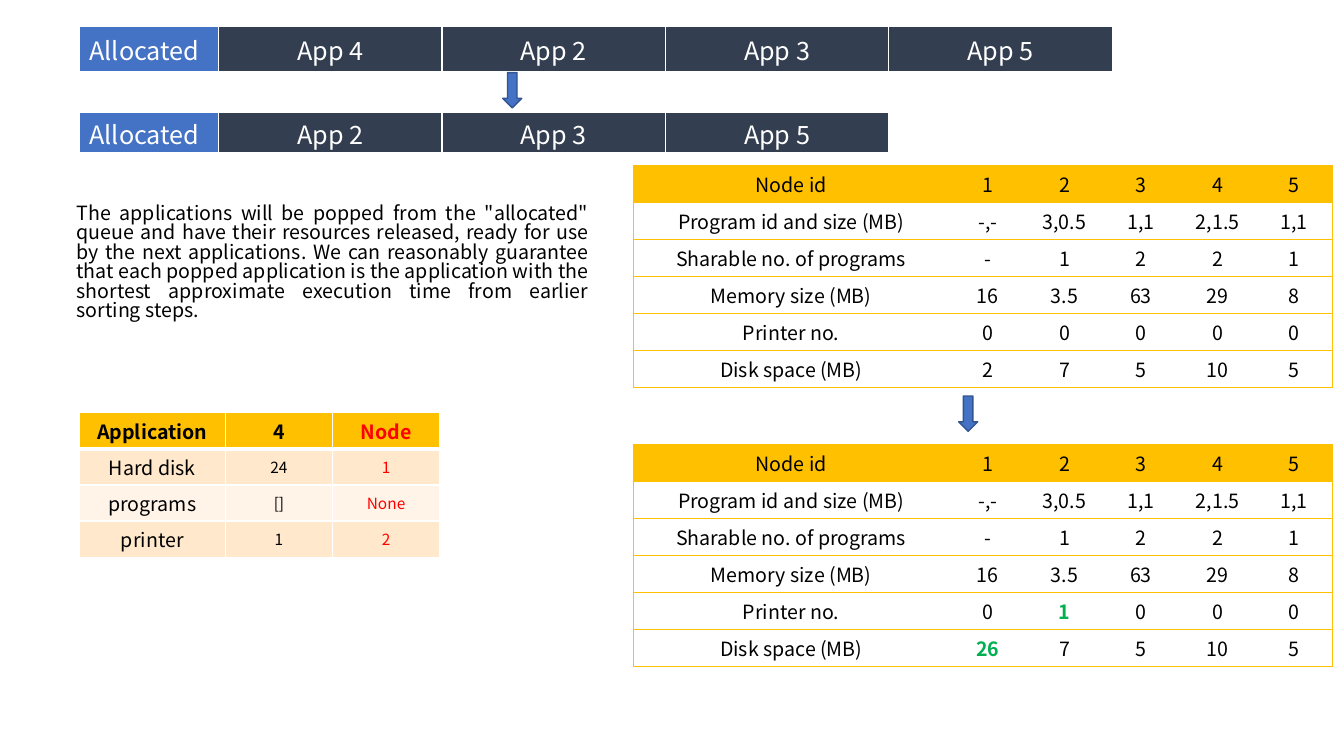
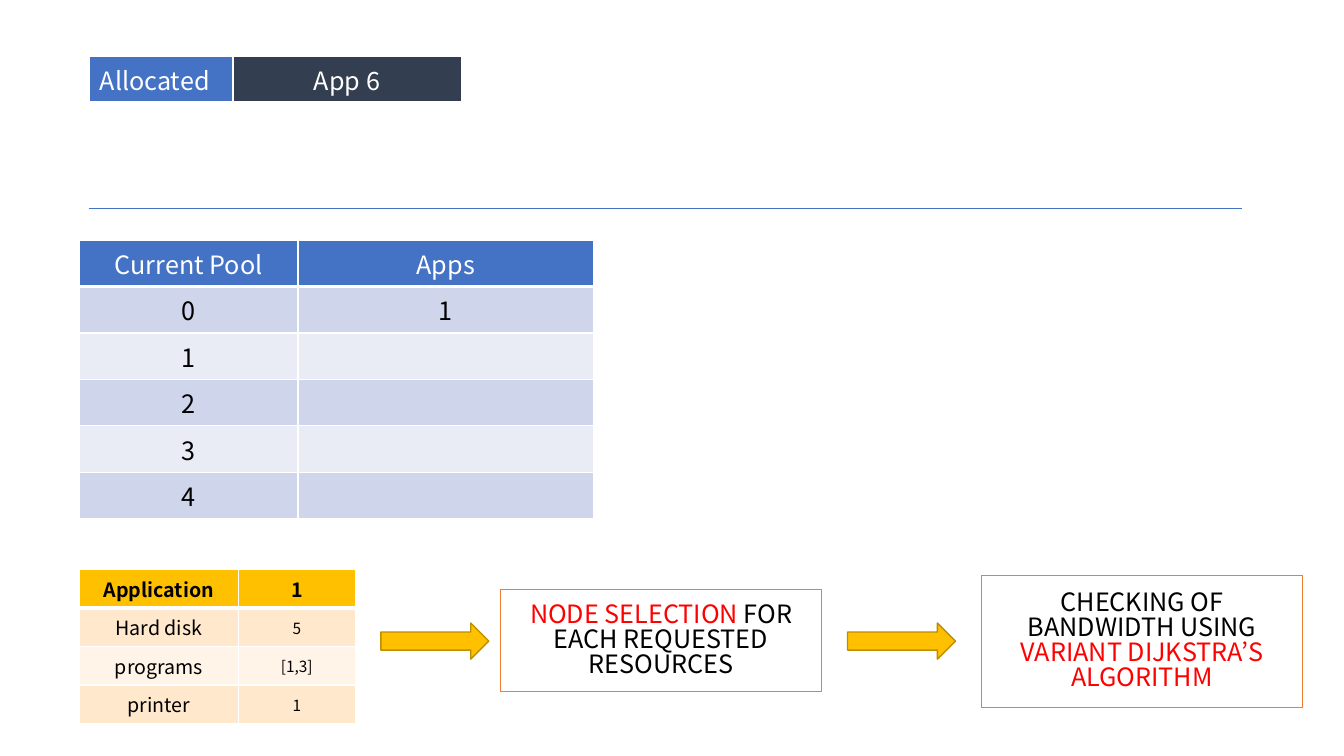
from lxml.etree import SubElement
from pptx import Presentation
from pptx.dml.color import RGBColor
from pptx.enum.shapes import MSO_CONNECTOR, MSO_SHAPE
from pptx.enum.text import MSO_ANCHOR, MSO_AUTO_SIZE, PP_ALIGN
from pptx.oxml.ns import qn
from pptx.util import Cm, Pt

# Shared look
FONT = "Noto Sans CJK JP"
BLACK, WHITE, RED, GREEN = "000000", "FFFFFF", "FF0000", "00B050"
BLUE, NAVY, AMBER, ORANGE = "4472C4", "333F50", "FFC000", "ED7D31"
BODY_SPACING = 0.83
rgb = RGBColor.from_string

# Each style gives the header row, the body bands, and the rules between cells
STYLES = {
    "queue": dict(header=NAVY, header_text=WHITE, bands=[NAVY], size=18, value_size=18,
                  rule=WHITE, rule_width=1, header_rule=3, bold=False),
    "pool": dict(header=BLUE, header_text=WHITE, bands=["CFD5EA", "E9EBF5"], size=18,
                 value_size=18, rule=WHITE, rule_width=1, header_rule=3, bold=False),
    "request": dict(header=AMBER, header_text=BLACK, bands=["FFE8CC", "FFF4E7"], size=14,
                    value_size=11, rule=WHITE, rule_width=1, header_rule=3, bold=True),
    "nodes": dict(header=AMBER, header_text=BLACK, bands=[WHITE], size=14, value_size=14,
                  rule=AMBER, rule_width=0.5, header_rule=0.5, bold=False),
}


def write(text_frame, runs, size, align=PP_ALIGN.CENTER, spacing=1.0, bold=False):
    """Fill the first paragraph with (text, colour) runs."""
    paragraph = text_frame.paragraphs[0]
    paragraph.alignment = align
    paragraph.line_spacing = spacing
    for text, color in runs:
        run = paragraph.add_run()
        run.text = text
        for name, value in dict(name=FONT, size=Pt(size), bold=bold).items():
            setattr(run.font, name, value)
        run.font.color.rgb = rgb(color)


def add_grid(slide, style_name, left, top, widths, row_height, rows, accents=None):
    """Add a table; accents maps (row, column) to a text colour."""
    style, accents = STYLES[style_name], accents or {}
    table = slide.shapes.add_table(len(rows), len(widths), Cm(left), Cm(top), Cm(sum(widths)),
                                   Cm(row_height * len(rows))).table
    table.first_row = table.horz_banding = False
    for column, width in zip(table.columns, widths):
        column.width = Cm(width)
    for row_index, row in enumerate(rows):
        table.rows[row_index].height = Cm(row_height)
        is_header = row_index == 0
        for column_index, text in enumerate(row):
            cell = table.cell(row_index, column_index)
            cell.vertical_anchor = MSO_ANCHOR.MIDDLE
            cell.margin_top = cell.margin_bottom = Cm(0.05)

            # Rules: sides only at the outer edge of the node tables
            widths_by_side = dict.fromkeys(("L", "R", "T", "B"), style["rule_width"])
            if is_header:
                widths_by_side["B"] = style["header_rule"]
            if row_index == 1:
                widths_by_side["T"] = style["header_rule"]
            if style_name == "nodes":
                widths_by_side["L"] *= column_index == 0
                widths_by_side["R"] *= column_index == len(row) - 1
            properties = cell._tc.get_or_add_tcPr()
            for side, width in widths_by_side.items():
                line = SubElement(properties, qn("a:ln" + side), w=str(int(Pt(width))))
                if width:
                    fill = SubElement(line, qn("a:solidFill"))
                    SubElement(fill, qn("a:srgbClr"), val=style["rule"])
                else:
                    SubElement(line, qn("a:noFill"))

            # Fill and text
            bands = style["bands"]
            color = style["header"] if is_header else bands[(row_index - 1) % len(bands)]
            is_label = style_name == "queue" and column_index == 0
            cell.fill.solid()
            cell.fill.fore_color.rgb = rgb(BLUE if is_label else color)
            if text:
                default = style["header_text"] if is_header else BLACK
                accent = accents.get((row_index, column_index), default)
                is_value = not is_header and column_index > 0
                write(cell.text_frame, [(text, accent)],
                      style["value_size"] if is_value else style["size"],
                      PP_ALIGN.LEFT if is_label else PP_ALIGN.CENTER,
                      bold=accent == GREEN or (is_header and style["bold"]))


presentation = Presentation()
presentation.slide_width, presentation.slide_height = Cm(33.87), Cm(19.05)
blank_layout = presentation.slide_layouts[6]
release_slide, selection_slide = [presentation.slides.add_slide(blank_layout) for _ in range(2)]

# Queues of allocated applications
for slide, left, top, label_width, app_width, height, apps in [
    (release_slide, 2, 0.66, 3.51, 5.63, 1.17, [4, 2, 3, 5]),
    (release_slide, 2, 2.84, 3.51, 5.63, 1.04, [2, 3, 5]),
    (selection_slide, 2.26, 1.42, 3.61, 5.75, 1.17, [6]),
]:
    add_grid(slide, "queue", left, top, [label_width] + [app_width] * len(apps), height,
             [["Allocated"] + [f"App {app}" for app in apps]])

# Explanation of the release step
shape = release_slide.shapes.add_textbox(Cm(1.68), Cm(5.03), Cm(13.41), Cm(3.84))
shape.text_frame.word_wrap = True
shape.text_frame.auto_size = MSO_AUTO_SIZE.SHAPE_TO_FIT_TEXT
write(shape.text_frame, [(
    'The applications will be popped from the "allocated" queue and have their resources '
    "released, ready for use by the next applications. We can reasonably guarantee that each "
    "popped application is the application with the shortest approximate execution time from "
    "earlier sorting steps.", BLACK)], 14, PP_ALIGN.JUSTIFY, BODY_SPACING)

# Node resources before and after the release
node_rows = [
    ["Node id", "1", "2", "3", "4", "5"],
    ["Program id and size (MB)", "-,-", "3,0.5", "1,1", "2,1.5", "1,1"],
    ["Sharable no. of programs", "-", "1", "2", "2", "1"],
    ["Memory size (MB)", "16", "3.5", "63", "29", "8"],
]
for top, printers, disks, accents in [
    (4.17, "0 0 0 0 0", "2 7 5 10 5", {}),
    (11.2, "0 1 0 0 0", "26 7 5 10 5", {(4, 2): GREEN, (5, 1): GREEN}),
]:
    add_grid(release_slide, "nodes", 15.95, top, [7.98] + [1.93] * 5, 0.93,
             node_rows + [["Printer no."] + printers.split(),
                          ["Disk space (MB)"] + disks.split()], accents)

# Resources held or requested by one application
add_grid(release_slide, "request", 2, 10.4, [3.68, 2.7, 2.7], 0.91,
         [["Application", "4", "Node"], ["Hard disk", "24", "1"],
          ["programs", "[]", "None"], ["printer", "1", "2"]],
         {(row, 2): RED for row in range(4)})
add_grid(selection_slide, "request", 2, 14.35, [4.01, 2.94], 0.97,
         [["Application", "1"], ["Hard disk", "5"], ["programs", "[1,3]"], ["printer", "1"]])

# Pool of waiting applications
add_grid(selection_slide, "pool", 2, 6.05, [5.51, 7.45], 1.17,
         [["Current Pool", "Apps"], ["0", "1"]] + [[str(level), ""] for level in range(1, 5)])

# Arrows and step boxes
down, right, box = MSO_SHAPE.DOWN_ARROW, MSO_SHAPE.RIGHT_ARROW, MSO_SHAPE.RECTANGLE
for slide, kind, left, top, width, height, fill, line, runs in [
    (release_slide, down, 12.67, 1.83, 0.48, 0.89, BLUE, "325491", []),
    (release_slide, down, 24.16, 9.98, 0.48, 0.89, BLUE, "325491", []),
    (selection_slide, right, 9.6, 15.7, 2.72, 0.91, AMBER, "BD8E00", []),
    (selection_slide, right, 21.36, 15.7, 2.72, 0.91, AMBER, "BD8E00", []),
    (selection_slide, box, 12.62, 14.86, 8.08, 2.57, WHITE, ORANGE,
     [("NODE SELECTION ", RED), ("FOR EACH REQUESTED RESOURCES", BLACK)]),
    (selection_slide, box, 24.74, 14.5, 8.08, 3.33, WHITE, ORANGE,
     [("CHECKING OF BANDWIDTH USING ", BLACK), ("VARIANT DIJKSTRA’S ALGORITHM", RED)]),
]:
    shape = slide.shapes.add_shape(kind, Cm(left), Cm(top), Cm(width), Cm(height))
    shape.shadow.inherit = False
    shape.fill.solid()
    shape.fill.fore_color.rgb = rgb(fill)
    shape.line.color.rgb = rgb(line)
    shape.line.width = Pt(1)
    if runs:
        shape.text_frame.word_wrap = True
        write(shape.text_frame, runs, 18, spacing=BODY_SPACING)

# Divider below the queue
divider = selection_slide.shapes.add_connector(MSO_CONNECTOR.STRAIGHT, Cm(2.24), Cm(5.26),
                                               Cm(31.29), Cm(5.26))
divider.line.color.rgb = rgb(BLUE)
divider.line.width = Pt(0.5)
SubElement(divider._element.spPr, qn("a:effectLst"))

presentation.save("out.pptx")
